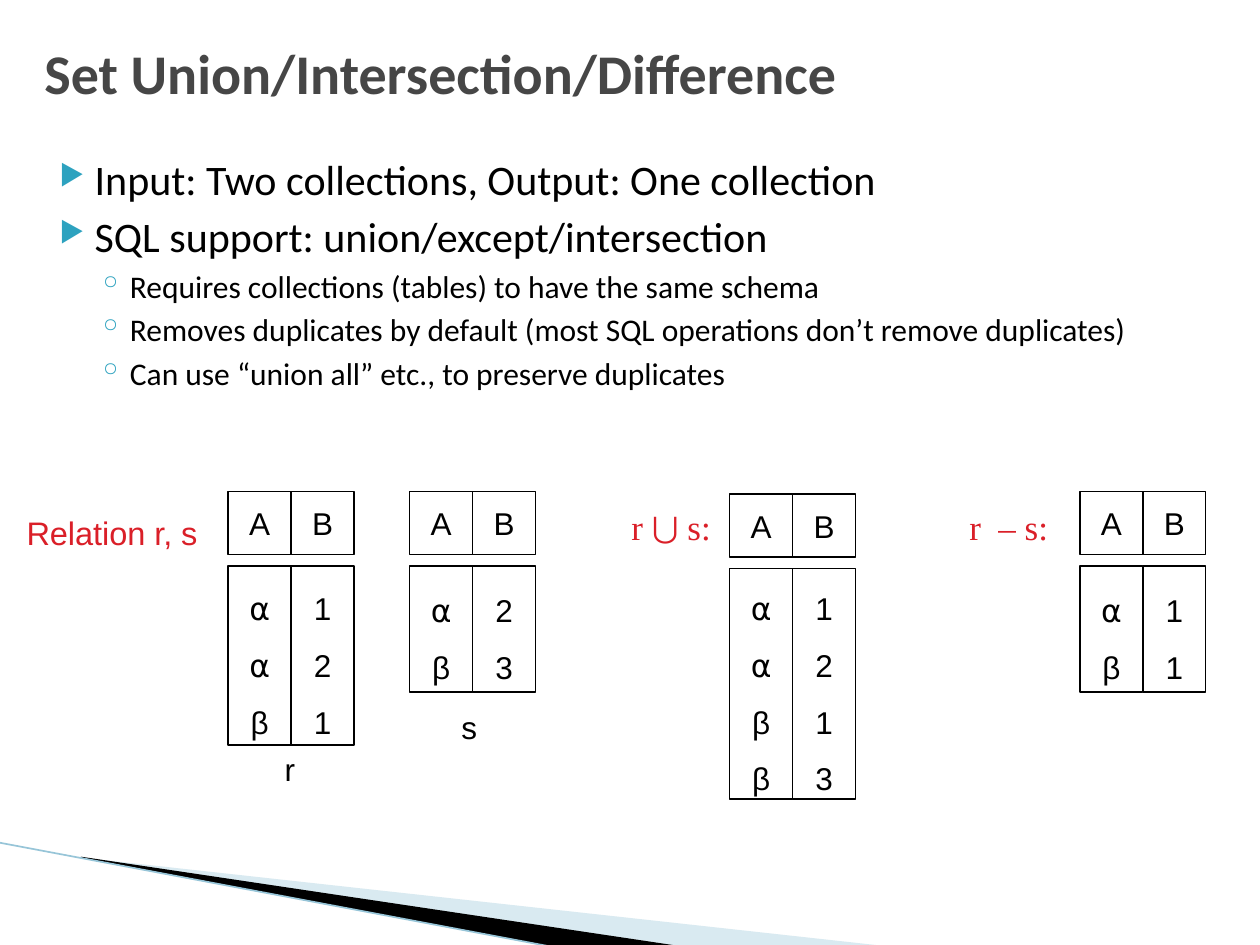
from dataclasses import dataclass

from lxml.etree import SubElement
from pptx import Presentation
from pptx.dml.color import RGBColor as Rgb
from pptx.enum.shapes import MSO_CONNECTOR as Connector, MSO_SHAPE as Shape
from pptx.enum.text import MSO_ANCHOR as Anchor, MSO_AUTO_SIZE as AutoSize, PP_ALIGN as Align
from pptx.oxml.ns import qn
from pptx.util import Cm, Pt


@dataclass(frozen=True)
class Theme:
    ink: str = "000000"
    paper: str = "FFFFFF"
    heading: str = "464646"
    accent: str = "DA1F28"
    bullet: str = "2DA2BF"
    pale: str = "A0CBDC"
    edge: str = "97C5D8"
    title_size: int = 32
    point_size: int = 24
    text_size: int = 18
    formula_size: int = 20
    sans: str = "Arial"
    body: str = "Calibri"
    serif: str = "Times New Roman"


THEME = Theme()
CELL = 1.27
HEAD_GAP = 0.23


def apply(target, values):
    for name, value in values.items():
        setattr(target, name, value)


def place(shape, box):
    apply(shape, dict(zip(("left", "top", "width", "height"), map(Cm, box))))


def font_of(name, size, color, **extra):
    return {"name": name, "size": Pt(size), "color": color, **extra}


CELL_FONT = font_of(THEME.sans, THEME.text_size, THEME.ink)


def fill_para(para, text, font, **layout):
    apply(para, layout)
    span = para.add_run()
    span.text = text
    apply(span.font, {name: value for name, value in font.items() if name != "color"})
    span.font.color.rgb = Rgb.from_string(font["color"])
    return span


def write_lines(frame, lines, font, **layout):
    for index, line in enumerate(lines):
        para = frame.add_paragraph() if index else frame.paragraphs[0]
        fill_para(para, line, font, **layout)


def add_label(page, box, text, font, align=Align.CENTER, anchor=Anchor.MIDDLE, wrap=False):
    label = page.shapes.add_textbox(*map(Cm, box))
    apply(label.text_frame, {"word_wrap": wrap, "vertical_anchor": anchor})
    return fill_para(label.text_frame.paragraphs[0], text, font, alignment=align)


def set_bullet(para, char, margin, indent, scale):
    props = para._p.get_or_add_pPr()
    props.set("marL", str(Cm(margin)))
    props.set("indent", str(Cm(indent)))
    color = SubElement(props, qn("a:buClr"))
    SubElement(color, qn("a:srgbClr"), val=THEME.bullet)
    SubElement(props, qn("a:buSzPct"), val=str(scale * 1000))
    SubElement(props, qn("a:buChar"), char=char)


def add_title(page, box, text):
    title = page.shapes.title
    place(title, box)
    apply(title.text_frame, {"vertical_anchor": Anchor.MIDDLE, "auto_size": AutoSize.NONE,
                             "word_wrap": True})
    font = font_of(THEME.body, THEME.title_size, THEME.heading, bold=True)
    fill_para(title.text_frame.paragraphs[0], text, font, alignment=Align.LEFT)


def add_points(page, box, points):
    levels = (
        {"bullet": ("▶", 1.02, -0.71, 68), "size": THEME.point_size, "before": 4},
        {"bullet": ("◦", 1.73, -0.64, 100), "size": THEME.text_size, "before": 3.2},
    )
    frame = page.shapes.add_textbox(*map(Cm, box)).text_frame
    frame.word_wrap = True
    for index, (level, text) in enumerate(points):
        para = frame.add_paragraph() if index else frame.paragraphs[0]
        look = levels[level]
        set_bullet(para, *look["bullet"])
        font = font_of(THEME.body, look["size"], THEME.ink)
        fill_para(para, text, font, level=level, space_before=Pt(look["before"] if index else 0))


def add_cell(page, box, lines, spacing):
    cell = page.shapes.add_shape(Shape.RECTANGLE, *map(Cm, box))
    cell.shadow.inherit = False
    cell.fill.solid()
    cell.fill.fore_color.rgb = Rgb.from_string(THEME.paper)
    cell.line.color.rgb = Rgb.from_string(THEME.ink)
    cell.line.width = Pt(0.75)
    apply(cell.text_frame, {"word_wrap": False, "vertical_anchor": Anchor.MIDDLE})
    write_lines(cell.text_frame, lines, CELL_FONT, alignment=Align.CENTER, line_spacing=spacing)


def add_relation(page, left, top, height, rows):
    for index, (name, values) in enumerate(zip("AB", zip(*rows))):
        x = left + index * CELL
        add_cell(page, (x, top, CELL, CELL), [name], 1.0)
        add_cell(page, (x, top + CELL + HEAD_GAP, CELL, height), values, 1.5)


def add_wedge(page, left, top, points, color, alpha=100):
    corners = [(Cm(left + x), Cm(top + y)) for x, y in points]
    builder = page.shapes.build_freeform(*corners[0], scale=1.0)
    builder.add_line_segments(corners[1:], close=True)
    wedge = builder.convert_to_shape()
    wedge.shadow.inherit = False
    wedge.fill.solid()
    wedge.fill.fore_color.rgb = Rgb.from_string(color)
    wedge.line.fill.background()
    if alpha < 100:
        tone = wedge._element.spPr.find(qn("a:solidFill"))[0]
        SubElement(tone, qn("a:alpha"), val=str(alpha * 1000))


def add_corner(page, left, top):
    add_wedge(page, left, top, [(1.65, 0.3), (17.83, 2.08), (13.67, 2.08), (1.68, 0.3)],
              THEME.pale, 40)
    add_wedge(page, left, top, [(1.63, 0.28), (13.69, 2.08), (11.15, 2.1), (1.65, 0.3)],
              THEME.ink)
    edge = page.shapes.add_connector(Connector.STRAIGHT, Cm(left), Cm(top),
                                     Cm(left + 11.15), Cm(top + 2.1))
    edge.line.color.rgb = Rgb.from_string(THEME.edge)
    edge.line.width = Pt(0.95)
    SubElement(edge._element.spPr, qn("a:effectLst"))


def add_relations(page, left, top):
    relations = (
        (4.6, 0, 3.61, ("⍺1", "⍺2", "β1")),
        (8.26, 0, 2.54, ("⍺2", "β3")),
        (14.71, 0.05, 4.65, ("⍺1", "⍺2", "β1", "β3")),
        (21.77, 0, 2.54, ("⍺1", "β1")),
    )
    for x, y, height, rows in relations:
        add_relation(page, left + x, top + y, height, rows)

    heading_font = font_of(THEME.sans, THEME.title_size, THEME.accent)
    heading = add_label(page, (left, top + 0.38, 4.52, 1.17), "Relation r, s", heading_font)
    heading._r.get_or_add_rPr().set("baseline", "30000")

    for x, y, width, name in ((5.49, 5.08, 0.71, "r"), (9.04, 4.24, 0.84, "s")):
        add_label(page, (left + x, top + y, width, 1.02), name, CELL_FONT)

    formula_font = font_of(THEME.serif, THEME.formula_size, THEME.accent)
    for x, formula in ((11.46, "r ⋃ s:"), (18.26, "r  – s:")):
        add_label(page, (left + x, top + 0.15, 3.12, 0.91), formula, formula_font,
                  Align.RIGHT, Anchor.TOP, True)


def main():
    deck = Presentation()
    apply(deck, {"slide_width": Cm(25.4), "slide_height": Cm(19.05)})
    page = deck.slides.add_slide(deck.slide_layouts[5])
    add_corner(page, 0, 16.99)
    add_points(page, (0.64, 2.97, 23.5, 14.17), (
        (0, "Input: Two collections, Output: One collection"),
        (0, "SQL support: union/except/intersection"),
        (1, "Requires collections (tables) to have the same schema"),
        (1, "Removes duplicates by default (most SQL operations don’t remove duplicates)"),
        (1, "Can use “union all” etc., to preserve duplicates"),
    ))
    add_title(page, (0.64, 0.43, 23.5, 2.03), "Set Union/Intersection/Difference")
    add_relations(page, 0, 9.91)
    deck.save("out.pptx")


if __name__ == "__main__":
    main()
